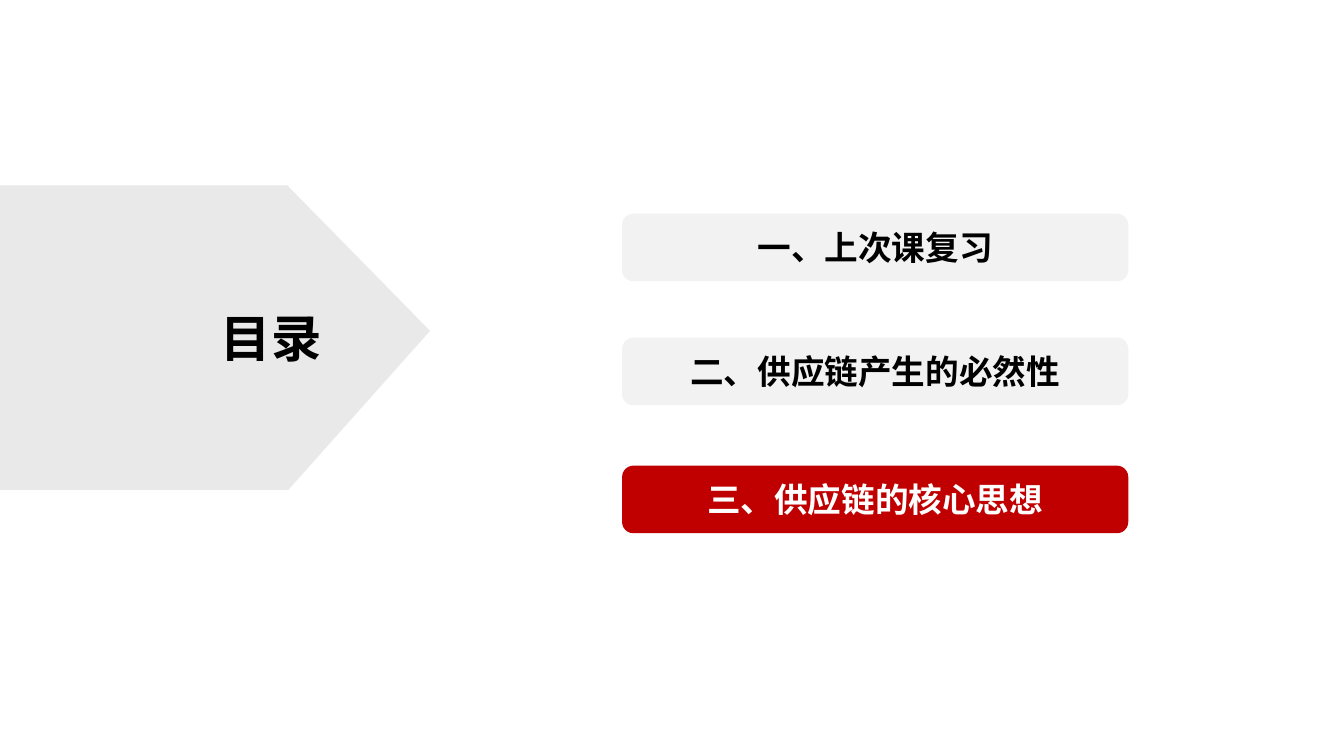
from lxml import etree
from pptx import Presentation
from pptx.dml.color import RGBColor
from pptx.enum.shapes import MSO_SHAPE
from pptx.enum.text import MSO_ANCHOR, MSO_AUTO_SIZE, PP_ALIGN
from pptx.oxml.ns import qn
from pptx.util import Inches, Pt

RECTANGLE = MSO_SHAPE.RECTANGLE
TRIANGLE = MSO_SHAPE.ISOSCELES_TRIANGLE
ROUNDED = MSO_SHAPE.ROUNDED_RECTANGLE
MIDDLE = MSO_ANCHOR.MIDDLE
LEFT, CENTER = PP_ALIGN.LEFT, PP_ALIGN.CENTER

THEME = {
    "font": "Noto Sans CJK SC",
    "title_size": 36,
    "item_size": 24,
    "arrow": "E9E9EA",
    "item": "F2F2F2",
    "current": "C00000",
    "dark": "000000",
    "light": "FFFFFF",
}


def add_block(shapes, kind, left, top, width, height, color):
    block = shapes.add_shape(kind, Inches(left), Inches(top), Inches(width), Inches(height))
    block.shadow.inherit = False
    block.fill.solid()
    block.fill.fore_color.rgb = RGBColor.from_string(THEME[color])
    block.line.fill.background()
    return block


def write_text(shape, text, size, color, alignment):
    para = shape.text_frame.paragraphs[0]
    para.text = text
    para.alignment = alignment
    para.font.size = Pt(THEME[size])
    para.font.bold = True
    para.font.name = THEME["font"]
    para.font.color.rgb = RGBColor.from_string(THEME[color])
    defaults = para._p.pPr.find(qn("a:defRPr"))
    etree.SubElement(defaults, qn("a:ea"), typeface=THEME["font"])


deck = Presentation()
deck.slide_width = Inches(13.33)
deck.slide_height = Inches(7.5)
page = deck.slides.add_slide(deck.slide_layouts[6])

arrow = page.shapes.add_group_shape()
add_block(arrow.shapes, RECTANGLE, 0, 1.84, 2.86, 3.02, "arrow")
tip = add_block(arrow.shapes, TRIANGLE, 2.05, 2.65, 3.02, 1.41, "arrow")
tip.rotation = 90
tip.adjustments[0] = 0.476

title = page.shapes.add_textbox(Inches(2.09), Inches(3), Inches(1.21), Inches(0.71))
title.text_frame.word_wrap = False
title.text_frame.auto_size = MSO_AUTO_SIZE.SHAPE_TO_FIT_TEXT
write_text(title, "目录", "title_size", "dark", LEFT)

agenda = [
    (2.12, "一、上次课复习", "item", "dark"),
    (3.35, "二、供应链产生的必然性", "item", "dark"),
    (4.62, "三、供应链的核心思想", "current", "light"),
]
for top, text, fill, color in agenda:
    box = add_block(page.shapes, ROUNDED, 6.17, top, 5.02, 0.67, fill)
    box.text_frame.word_wrap = True
    box.text_frame.vertical_anchor = MIDDLE
    write_text(box, text, "item_size", color, CENTER)

deck.save("out.pptx")
